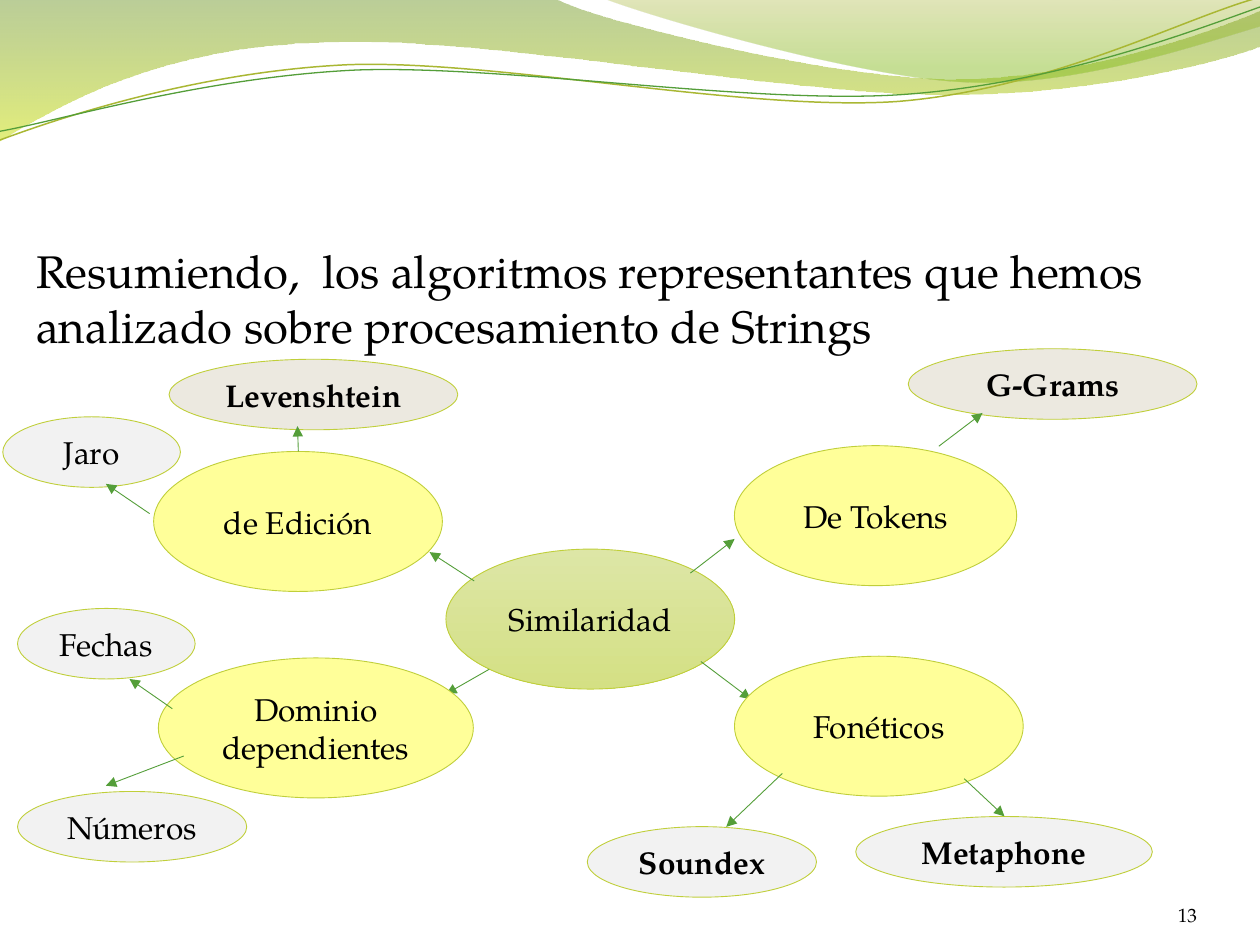
from lxml.etree import SubElement
from pptx import Presentation
from pptx.dml.color import RGBColor
from pptx.enum.shapes import MSO_CONNECTOR, MSO_SHAPE
from pptx.enum.text import MSO_ANCHOR, PP_ALIGN
from pptx.oxml.ns import qn
from pptx.util import Pt

COLORS = {
    "text": "000000", "outline": "C0CF3A", "arrow": "549E39",
    "family": "FFFF99", "plain": "F2F2F2", "beige": "ECE9E0",
    "center_top": "DDE6A6", "center_bottom": "D4E084",
    "band_top": "69921C", "band_bottom": "CCE10F",
    "veil_top": "9BAA1A", "veil_bottom": "81BA16",
    "olive": "A9B733",
}
RGB = {name: RGBColor.from_string(value) for name, value in COLORS.items()}
FONT = "TeX Gyre Pagella"


def write(frame, text, size, align, bold=False):
    paragraph = frame.paragraphs[0]
    paragraph.alignment = align
    run = paragraph.add_run()
    run.text = text
    for attribute, value in {"name": FONT, "size": Pt(size), "bold": bold}.items():
        setattr(run.font, attribute, value)
    run.font.color.rgb = RGB["text"]
    return paragraph


def set_gradient(shape, stops):
    """Fill from top to bottom; each stop is (colour, position, opacity in %)."""
    shape.fill.gradient()
    shape.fill.gradient_angle = 270
    for stop, (color, position, opacity) in zip(shape.fill.gradient_stops, stops):
        stop.color.rgb = RGB[color]
        stop.position = position
    for node, (_, _, opacity) in zip(shape._element.spPr.iter(qn("a:srgbClr")), stops):
        if opacity < 100:
            SubElement(node, qn("a:alpha")).set("val", str(opacity * 1000))


presentation = Presentation()
presentation.slide_width, presentation.slide_height = Pt(720), Pt(540)
slide = presentation.slides.add_slide(presentation.slide_layouts[1])
shapes = slide.shapes
title = shapes.title._element
title.getparent().remove(title)

# Waves at the top: pairs are straight steps, sixes are cubic curves
waves = [
    ((0, 0), [(317, -1), (342, 12, 477, 45, 546, 45), (614, 45, 690, 19, 720, 6),
              (721, 26), (708, 32, 626, 55, 537, 54), (448, 54, 274, 20, 185, 24),
              (93, 26, 33, 60, -1, 81)],
     [("band_top", 0, 45), ("band_bottom", 1, 55)], None),
    ((345, -1), [(367, 8, 491, 45, 553, 47), (616, 50, 692, 23, 720, 15), (720, 0)],
     [("veil_top", 0, 30), ("veil_bottom", 0.8, 45)], None),
    ((0, 80), [(35, 67, 113, 41, 199, 37), (284, 34, 426, 64, 513, 58),
               (600, 51, 675, 11, 718, -1)], None, ("olive", 0.85)),
    ((0, 75), [(34, 69, 117, 44, 204, 40), (289, 37, 430, 60, 516, 54),
               (602, 48, 678, 19, 720, 4)], None, ("arrow", 0.75)),
]
for start, segments, stops, stroke in waves:
    corners = [start] + [segment[-2:] for segment in segments]
    left, top = (min(values) for values in zip(*corners))
    builder = shapes.build_freeform(Pt(start[0]), Pt(start[1]))
    builder.add_line_segments([(Pt(x), Pt(y)) for x, y in corners[1:]],
                              close=stops is not None)
    wave = builder.convert_to_shape()
    steps = list(wave._element.spPr.iter(qn("a:lnTo")))
    for step, segment in zip(steps, segments):
        if len(segment) == 6:
            step.tag = qn("a:cubicBezTo")
            for index in (0, 2):
                control = SubElement(step, qn("a:pt"))
                control.set("x", str(Pt(segment[index] - left)))
                control.set("y", str(Pt(segment[index + 1] - top)))
            step.append(step[0])
    wave.shadow.inherit = False
    if stops:
        set_gradient(wave, stops)
        wave.line.fill.background()
    else:
        wave.fill.background()
        wave.line.color.rgb, wave.line.width = RGB[stroke[0]], Pt(stroke[1])

# Summary sentence
summary = slide.placeholders[1]
box = {"left": 13.5, "top": 135.5, "width": 648, "height": 345.5}
for side, value in box.items():
    setattr(summary, side, Pt(value))
summary.text_frame.margin_right = 0
sentence = write(
    summary.text_frame,
    "Resumiendo,  los algoritmos representantes que hemos "
    "analizado sobre procesamiento de Strings", 26, PP_ALIGN.LEFT)
sentence.space_before = Pt(5.2)
properties = sentence._p.get_or_add_pPr()
properties.set("marL", "0")
properties.set("indent", "0")
SubElement(properties, qn("a:buNone"))

# Concept map, from back to front: ellipses (text, fill, bold, box) and arrows
center = [("Similaridad", None, False, (254.8, 313.8, 165, 80))]
center_arrows = [(271, 332, 245.5, 315.5), (394.5, 327.5, 419.8, 308),
                 (279.5, 382.5, 255, 396.5), (400.5, 378, 429, 399.5)]
concepts = [
    ("Jaro", "plain", False, (1.6, 238.2, 101.5, 40.3)),
    ("Levenshtein", "beige", True, (96.6, 205.3, 165, 40.3)),
    ("de Edición", "family", False, (87.8, 258, 165, 80)),
    ("Fechas", "plain", False, (10, 347.7, 101.5, 40.3)),
    ("Dominio dependientes", "family", False, (90.5, 376, 180, 80)),
    ("Números", "plain", False, (10, 452.3, 131, 40.3)),
    ("Soundex", "plain", True, (335.6, 472.4, 131, 40.3)),
    ("Metaphone", "plain", True, (489, 466.6, 169.5, 40.3)),
    ("Fonéticos", "family", False, (419.7, 375, 165, 80)),
    ("G-Grams", "beige", True, (519, 199.3, 165, 40.3)),
    ("De Tokens", "family", False, (419.7, 254.7, 161.3, 80)),
]
concept_arrows = [
    (85.5, 293.5, 60.5, 276.5), (170.5, 258, 170, 243.5),
    (98.5, 405, 74, 388), (105, 432, 60.5, 449),
    (447, 442, 415, 472.5), (551, 445, 574, 466.5),
    (536.5, 255, 561.5, 236),
]
for ellipses, arrows in ((center, center_arrows), (concepts, concept_arrows)):
    for text, fill, bold, bounds in ellipses:
        ellipse = shapes.add_shape(MSO_SHAPE.OVAL, *map(Pt, bounds))
        ellipse.shadow.inherit = False
        if fill:
            ellipse.fill.solid()
            ellipse.fill.fore_color.rgb = RGB[fill]
        else:
            set_gradient(ellipse, [("center_top", 0, 100), ("center_bottom", 1, 100)])
        ellipse.line.color.rgb, ellipse.line.width = RGB["outline"], Pt(0.5)
        ellipse.text_frame.vertical_anchor = MSO_ANCHOR.MIDDLE
        write(ellipse.text_frame, text, 18, PP_ALIGN.CENTER, bold)
    for ends in arrows:
        arrow = shapes.add_connector(MSO_CONNECTOR.STRAIGHT, *map(Pt, ends))
        arrow.line.color.rgb, arrow.line.width = RGB["arrow"], Pt(0.5)
        SubElement(arrow.line._get_or_add_ln(), qn("a:tailEnd")).set("type", "triangle")
        SubElement(arrow._element.spPr, qn("a:effectLst"))

# Page number
page_number = shapes.add_textbox(Pt(624), Pt(500.5), Pt(60), Pt(28.8)).text_frame
margins = ("margin_left", "margin_top", "margin_right", "margin_bottom")
for attribute, value in {**dict.fromkeys(margins, 0), "word_wrap": True,
                         "vertical_anchor": MSO_ANCHOR.BOTTOM}.items():
    setattr(page_number, attribute, value)
write(page_number, "13", 11, PP_ALIGN.RIGHT)

presentation.save("out.pptx")
